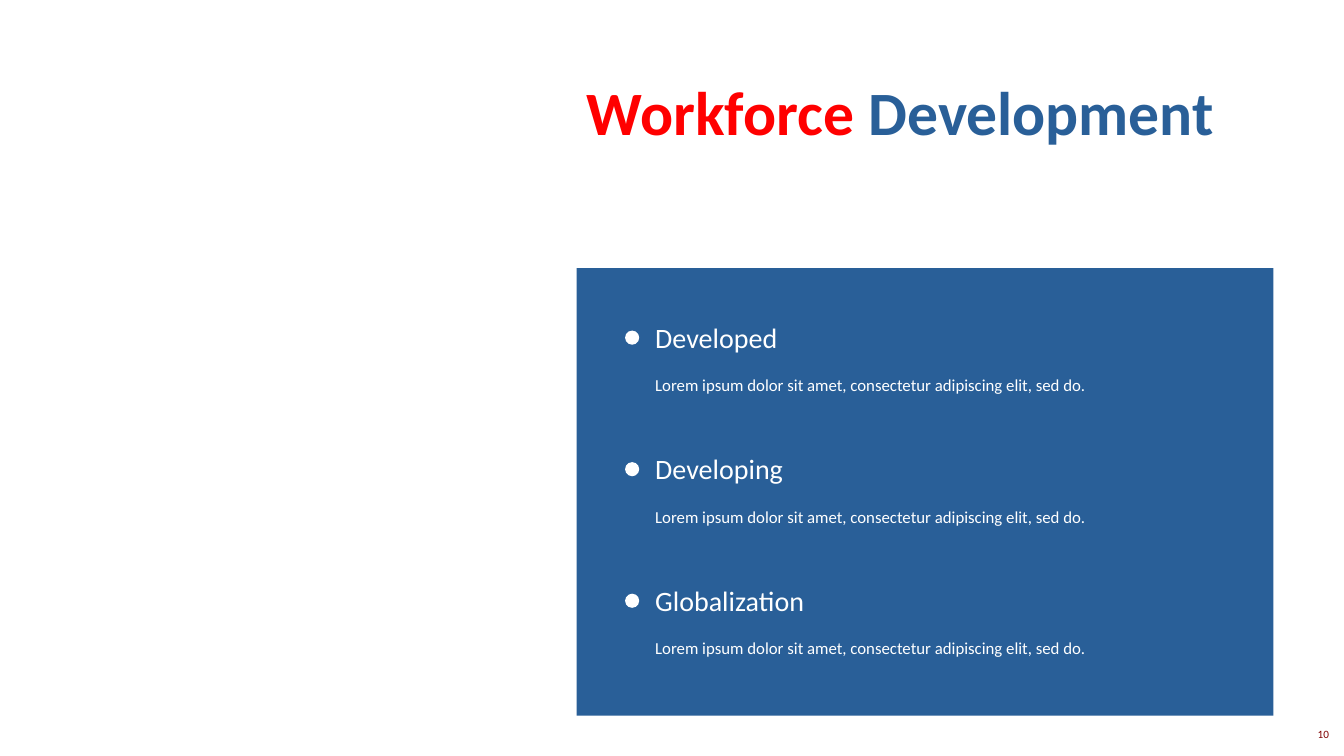
from dataclasses import dataclass

from pptx import Presentation
from pptx.dml.color import RGBColor
from pptx.enum import shapes, text
from pptx.util import Inches, Pt


@dataclass(frozen=True)
class Theme:
    font: str = "Calibri"
    blue: str = "295F98"
    red: str = "FF0000"
    white: str = "FFFFFF"
    maroon: str = "800000"
    title_size: int = 44
    heading_size: int = 20
    body_size: int = 12
    number_size: int = 8


THEME = Theme()
TOPICS = ["Developed", "Developing", "Globalization"]
DESCRIPTION = "Lorem ipsum dolor sit amet, consectetur adipiscing elit, sed do."
TOPIC_TOP = 3.13
TOPIC_PITCH = 1.305


def style_font(font, size, color, bold=False):
    font.name = THEME.font
    font.size = Pt(size)
    font.bold = bold
    font.color.rgb = RGBColor.from_string(color)


def set_title(slide):
    title = slide.shapes.title
    title.left, title.top = Inches(5.72), Inches(0.68)
    title.width, title.height = Inches(6.91), Inches(1.58)
    frame = title.text_frame
    frame.auto_size = text.MSO_AUTO_SIZE.NONE
    frame.vertical_anchor = text.MSO_ANCHOR.TOP
    paragraph = frame.paragraphs[0]
    paragraph.alignment = text.PP_ALIGN.LEFT
    for words, color in (("Workforce", THEME.red), (" Development", THEME.blue)):
        run = paragraph.add_run()
        run.text = words
        style_font(run.font, THEME.title_size, color, bold=True)


def add_filled_shape(slide, kind, left, top, width, height, color):
    shape = slide.shapes.add_shape(
        kind, Inches(left), Inches(top), Inches(width), Inches(height))
    shape.shadow.inherit = False
    shape.fill.solid()
    shape.fill.fore_color.rgb = RGBColor.from_string(color)
    shape.line.fill.background()
    return shape


def add_label(slide, words, left, top, width, height, size, color,
              alignment=text.PP_ALIGN.LEFT, line_spacing=1.0):
    box = slide.shapes.add_textbox(
        Inches(left), Inches(top), Inches(width), Inches(height))
    box.text_frame.word_wrap = True
    paragraph = box.text_frame.paragraphs[0]
    paragraph.text = words
    paragraph.alignment = alignment
    paragraph.line_spacing = line_spacing
    style_font(paragraph.font, size, color)


def add_topic(slide, heading, top):
    add_label(slide, heading, 6.4, top, 5.08, 0.44,
              THEME.heading_size, THEME.white)
    add_label(slide, DESCRIPTION, 6.4, top + 0.44, 5.63, 0.4,
              THEME.body_size, THEME.white, line_spacing=1.5)
    add_filled_shape(slide, shapes.MSO_SHAPE.OVAL, 6.2, top + 0.15,
                     0.14, 0.14, THEME.white)


def main():
    presentation = Presentation()
    presentation.slide_width = Inches(13.33)
    presentation.slide_height = Inches(7.5)
    slide = presentation.slides.add_slide(presentation.slide_layouts[5])

    # Heading
    set_title(slide)

    # Panel with the three topics
    panel = add_filled_shape(slide, shapes.MSO_SHAPE.ROUNDED_RECTANGLE,
                             5.72, 2.66, 6.91, 4.44, THEME.blue)
    panel.adjustments[0] = 0
    for index, heading in enumerate(TOPICS):
        add_topic(slide, heading, TOPIC_TOP + index * TOPIC_PITCH)

    # Page number
    add_label(slide, "10", 12.74, 7.17, 0.54, 0.24, THEME.number_size,
              THEME.maroon, alignment=text.PP_ALIGN.RIGHT)

    presentation.save("out.pptx")


if __name__ == "__main__":
    main()
